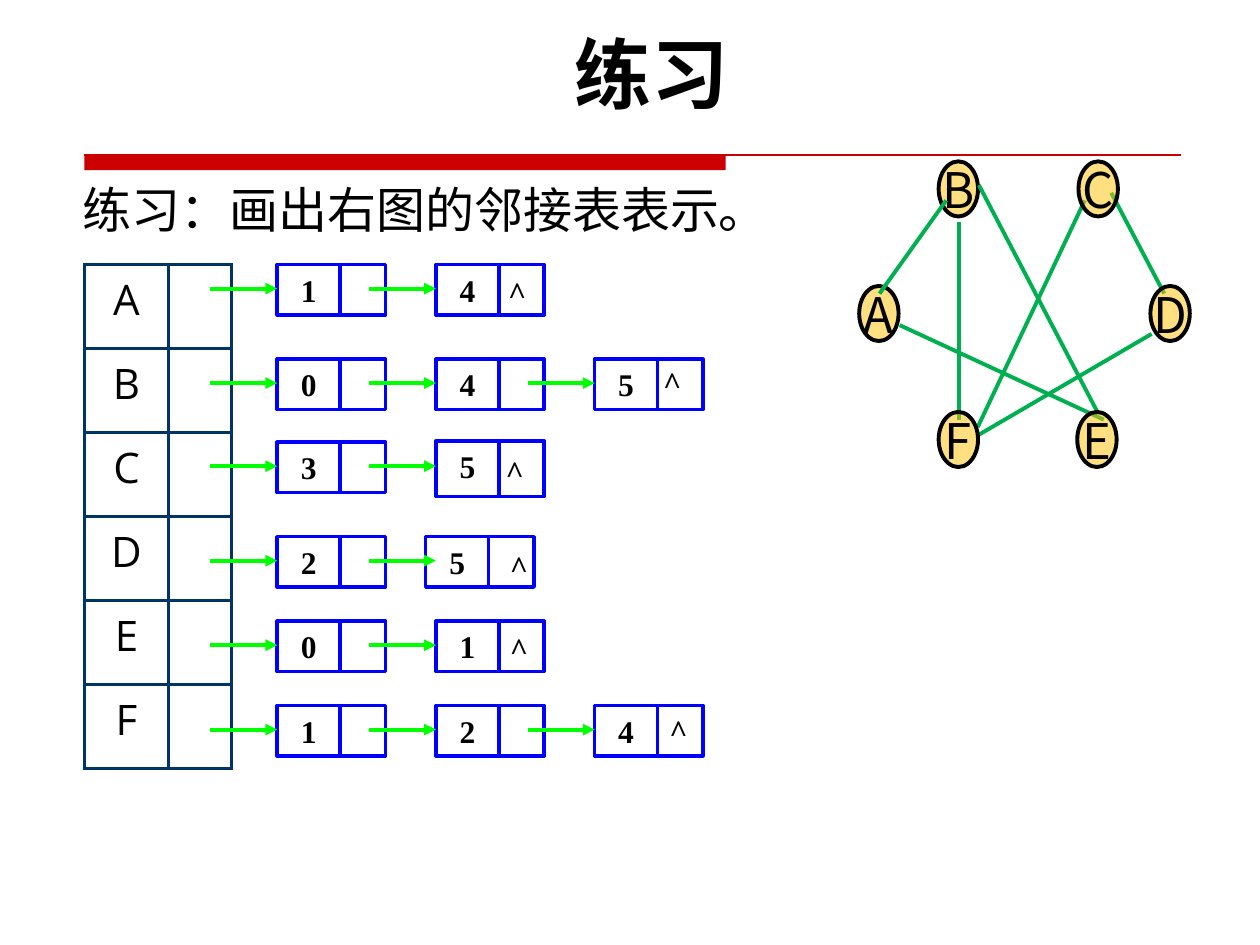
"""Build a slide with a graph exercise and its adjacency list."""
from lxml import etree
from pptx import Presentation
from pptx import util as u
from pptx.dml import color
from pptx.enum import shapes, text
from pptx.oxml import ns

COLORS = {
    "black": "000000", "rule": "CC0000", "vertex": "FFC000", "edge": "00B050",
    "table": "003366", "node": "0000FF", "arrow": "00FF00",
}
CJK, SANS, SERIF = "Noto Sans CJK SC", "Open Sans", "Times New Roman"
NODE_LEFT, NODE_STEP, NODE_HEIGHT = 158.4, 90.7, 28.8
KEY_WIDTH, LINK_WIDTH = 36, 25.9
ARROW_LENGTH, ARROW_DROP = 38.2, 13.7
CARET_WIDTH = 48

LISTS = [
    (151.2, "14", (295.6, 152.6)),
    (205.2, "045", (384.1, 203.8)),
    (252.7, "35", (294.1, 254.9)),
    (306.7, "25", (296.6, 308.9)),
    (355, "01", (296.6, 355.7)),
    (403.2, "124", (387.7, 402.5)),
]
LAST_NODE_OFFSETS = {2: (0, -0.8, 3), 3: (-5.8, 0, 0)}
BACK_VERTICES = {"B": (536.4, 92.2), "A": (491, 163.4)}
FRONT_VERTICES = {
    "C": (616.3, 92.2), "D": (657.4, 163.4),
    "F": (536.4, 235.4), "E": (615.6, 235.4),
}
EDGES = [
    (540.7, 114.5, 502.6, 167.8), (559.4, 105.8, 627.1, 235.4),
    (514.1, 185.8, 630.7, 239.8), (619.9, 114.5, 558.7, 244.1),
    (635, 110.2, 665.3, 167.8), (658.1, 190.8, 559.4, 248.4),
    (547.9, 126.7, 547.9, 239.8),
]


def rgb(name):
    """Return the named colour."""
    return color.RGBColor.from_string(COLORS[name])


def child(parent, tag, **attributes):
    """Append a DrawingML element and return it."""
    return etree.SubElement(parent, ns.qn(tag), attributes)


def write(text_frame, content, size, font, bold=False, align=text.PP_ALIGN.CENTER):
    """Fill a text frame with one formatted paragraph."""
    text_frame.text = content
    paragraph = text_frame.paragraphs[0]
    paragraph.alignment = align
    for run in paragraph.runs:
        run.font.size = u.Pt(size)
        run.font.name = font
        run.font.bold = bold
        run.font.color.rgb = rgb("black")
        child(run.font._element, "a:ea", typeface=CJK)


def add_text(slide, box, content, size, font, anchor=text.MSO_ANCHOR.TOP, **style):
    """Add a wrapping text box."""
    text_frame = slide.shapes.add_textbox(*map(u.Pt, box)).text_frame
    text_frame.word_wrap = True
    text_frame.vertical_anchor = anchor
    write(text_frame, content, size, font, **style)


def add_shape(slide, kind, box, line, width):
    """Add an unfilled outlined shape, or a borderless one without a line."""
    shape = slide.shapes.add_shape(kind, *map(u.Pt, box))
    shape.shadow.inherit = False
    shape.fill.background()
    if line:
        shape.line.color.rgb = rgb(line)
        shape.line.width = u.Pt(width)
    else:
        shape.line.fill.background()
    return shape


def add_line(slide, ends, line, width=2.25, arrow=False):
    """Add a straight line, optionally with an arrowhead at its end."""
    connector = slide.shapes.add_connector(shapes.MSO_CONNECTOR.STRAIGHT, *map(u.Pt, ends))
    connector.line.color.rgb = rgb(line)
    connector.line.width = u.Pt(width)
    if arrow:
        child(connector.line._get_or_add_ln(), "a:tailEnd", type="triangle")
    child(connector._element.spPr, "a:effectLst")


def add_header(slide):
    """Add the title, the red rule and the exercise sentence."""
    band = add_shape(slide, shapes.MSO_SHAPE.RECTANGLE, (48.2, 88.6, 366.5, 8.6), None, 0)
    band.fill.solid()
    band.fill.fore_color.rgb = rgb("rule")
    add_line(slide, (48.2, 88.6, 674.6, 88.6), "rule", 0.75)
    add_text(slide, (40.3, 85.7, 668.9, 54), "练习：画出右图的邻接表表示。", 28, CJK,
             text.MSO_ANCHOR.BOTTOM, align=text.PP_ALIGN.LEFT)
    add_text(slide, (39.6, 11.5, 666, 60.5), "练习", 44, SANS,
             text.MSO_ANCHOR.MIDDLE, bold=True)


def add_vertices(slide, vertices):
    """Add translucent labelled graph vertices."""
    for label, (left, top) in vertices.items():
        shape = add_shape(slide, shapes.MSO_SHAPE.OVAL, (left, top, 22.5, 31.5), "black", 2.25)
        shape.fill.solid()
        shape.fill.fore_color.rgb = rgb("vertex")
        fill = shape._element.spPr.find(ns.qn("a:solidFill"))
        child(fill[0], "a:alpha", val="50000")
        shape.text_frame.word_wrap = False
        shape.text_frame.vertical_anchor = text.MSO_ANCHOR.MIDDLE
        write(shape.text_frame, label, 28, CJK)


def add_graph(slide):
    """Add the graph with its edges between the vertex layers."""
    add_vertices(slide, BACK_VERTICES)
    for ends in EDGES:
        add_line(slide, ends, "edge")
    add_vertices(slide, FRONT_VERTICES)


def add_border(cell):
    """Give a table cell a border on every side."""
    properties = cell._tc.get_or_add_tcPr()
    for side in "LRTB":
        line = child(properties, f"a:ln{side}", w=str(u.Pt(2.25)))
        child(child(line, "a:solidFill"), "a:srgbClr", val=COLORS["table"])


def add_vertex_table(slide):
    """Add the table of list heads."""
    frame = slide.shapes.add_table(6, 2, *map(u.Pt, (48.2, 151.2, 84.2, 288)))
    table = frame.table
    table.first_row = table.horz_banding = False
    for column, width in zip(table.columns, (48.2, 36)):
        column.width = u.Pt(width)
    for row, label in zip(table.rows, "ABCDEF"):
        row.height = u.Pt(48)
        write(row.cells[0].text_frame, label, 24, SANS)
        for cell in row.cells:
            add_border(cell)
            cell.fill.background()


def add_node(slide, left, top, height, key):
    """Add a list node made of a key box and a link box."""
    rectangle = shapes.MSO_SHAPE.RECTANGLE
    key_box = add_shape(slide, rectangle, (left, top, KEY_WIDTH, height), "node", 2)
    key_box.text_frame.vertical_anchor = text.MSO_ANCHOR.TOP
    write(key_box.text_frame, key, 18, SERIF, bold=True)
    add_shape(slide, rectangle, (left + KEY_WIDTH, top, LINK_WIDTH, height), "node", 2)


def add_list(slide, index, top, keys):
    """Add one row of linked nodes with their arrows."""
    lefts = [NODE_LEFT + NODE_STEP * position for position in range(len(keys))]
    for left, key in zip(lefts, keys):
        shift, rise, growth = 0, 0, 0
        if left == lefts[-1]:
            shift, rise, growth = LAST_NODE_OFFSETS.get(index, (0, 0, 0))
        add_node(slide, left + shift, top + rise, NODE_HEIGHT + growth, key)
    y = top + ARROW_DROP
    for left in lefts:
        add_line(slide, (left - ARROW_LENGTH, y, left, y), "arrow", arrow=True)


def main():
    """Build and save the slide."""
    presentation = Presentation()
    presentation.slide_width, presentation.slide_height = u.Pt(720), u.Pt(540)
    slide = presentation.slides.add_slide(presentation.slide_layouts[6])
    add_graph(slide)
    add_header(slide)
    add_vertex_table(slide)
    for index, (top, keys, _) in enumerate(LISTS):
        add_list(slide, index, top, keys)
    for _, _, (center, top) in LISTS:
        box = (center - CARET_WIDTH / 2, top, CARET_WIDTH, NODE_HEIGHT)
        add_text(slide, box, "^", 18, SERIF, bold=True)
    presentation.save("out.pptx")


if __name__ == "__main__":
    main()
